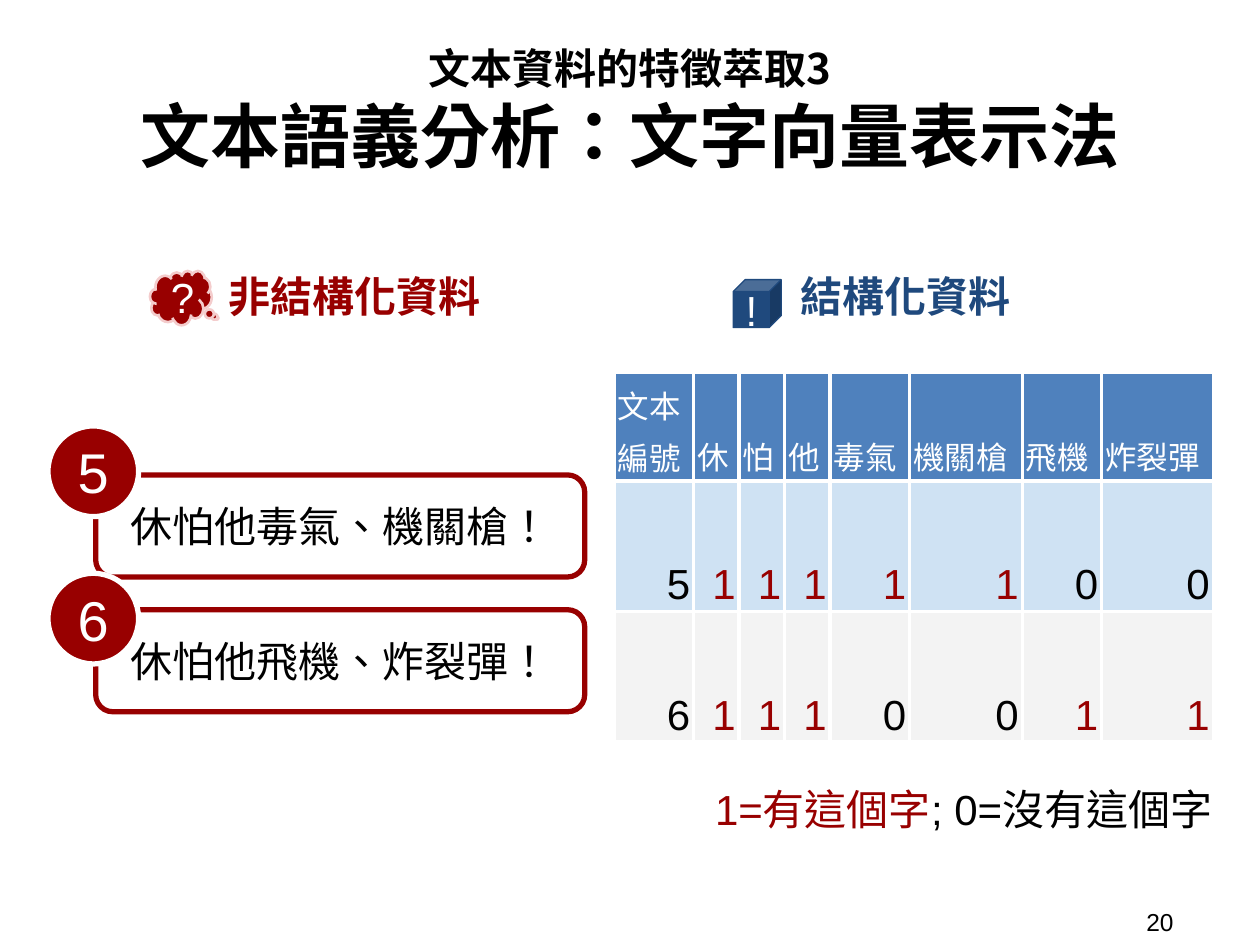
from lxml.etree import SubElement
from pptx import Presentation
from pptx.dml.color import RGBColor
from pptx.enum.shapes import MSO_SHAPE
from pptx.enum.text import MSO_ANCHOR, PP_ALIGN
from pptx.oxml.ns import qn
from pptx.util import Pt

COLORS = {
    "white": "FFFFFF",
    "black": "000000",
    "red": "980000",
    "pink": "F4CCCC",
    "navy": "1F497D",
    "header": "4F81BD",
    "sky": "CFE2F3",
    "gray": "F3F3F3",
}
LATIN = "Arial"
CJK = "Noto Sans CJK TC"


def rgb(name):
    return RGBColor.from_string(COLORS[name])


class SlideBuilder:
    def __init__(self, slide):
        self.slide = slide

    def style(self, paragraph, size, color, align=PP_ALIGN.LEFT, font=LATIN, bold=False):
        paragraph.alignment = align
        paragraph.font.size = Pt(size)
        paragraph.font.bold = bold
        paragraph.font.color.rgb = rgb(color)
        paragraph.font.name = font
        defaults = paragraph._p.pPr.find(qn("a:defRPr"))
        SubElement(defaults, qn("a:ea"), typeface=CJK)
        for run in paragraph.runs:
            run._r.get_or_add_rPr().set("lang", "zh-TW")

    def frame(self, frame, anchor):
        frame.word_wrap = True
        frame.vertical_anchor = anchor
        frame.margin_left = frame.margin_right = Pt(7.2)
        frame.margin_top = frame.margin_bottom = Pt(7.2)

    def text(self, box, lines, color, align=PP_ALIGN.LEFT, font=LATIN, bold=False,
             anchor=MSO_ANCHOR.TOP):
        frame = self.slide.shapes.add_textbox(*map(Pt, box)).text_frame
        self.frame(frame, anchor)
        for index, (line, size) in enumerate(lines):
            paragraph = frame.add_paragraph() if index else frame.paragraphs[0]
            paragraph.text = line
            self.style(paragraph, size, color, align, font, bold)
        return frame

    def shape(self, kind, box, label, size, fill, line, width, color,
              align=PP_ALIGN.CENTER, adjustments=()):
        shape = self.slide.shapes.add_shape(kind, *map(Pt, box))
        shape.shadow.inherit = False
        for index, value in enumerate(adjustments):
            shape.adjustments[index] = value
        shape.fill.solid()
        shape.fill.fore_color.rgb = rgb(fill)
        shape.line.color.rgb = rgb(line)
        shape.line.width = Pt(width)
        self.frame(shape.text_frame, MSO_ANCHOR.MIDDLE)
        paragraph = shape.text_frame.paragraphs[0]
        paragraph.text = label
        self.style(paragraph, size, color, align)

    def cell(self, cell, value, size, color, fill, align):
        cell.vertical_anchor = MSO_ANCHOR.BOTTOM
        cell.margin_left = cell.margin_right = Pt(2)
        cell.margin_top = cell.margin_bottom = Pt(1.5)
        properties = cell._tc.get_or_add_tcPr()
        for side in ("a:lnL", "a:lnR", "a:lnT", "a:lnB"):
            border = SubElement(properties, qn(side), w=str(Pt(2.25)))
            SubElement(SubElement(border, qn("a:solidFill")), qn("a:srgbClr"),
                       val=COLORS["white"])
        cell.fill.solid()
        cell.fill.fore_color.rgb = rgb(fill)
        cell.text = value
        for paragraph in cell.text_frame.paragraphs:
            paragraph.line_spacing = 1.15
            self.style(paragraph, size, color, align)

    def table(self, left, top, widths, heights, header, rows, fills):
        table = self.slide.shapes.add_table(
            len(heights), len(widths), Pt(left), Pt(top),
            Pt(sum(widths)), Pt(sum(heights))).table
        table.first_row = table.horz_banding = False
        for column, width in zip(table.columns, widths):
            column.width = Pt(width)
        for row, height in zip(table.rows, heights):
            row.height = Pt(height)
        for column, word in enumerate(header):
            self.cell(table.cell(0, column), word, 18, "white", "header", PP_ALIGN.LEFT)
        for row, (values, fill) in enumerate(zip(rows, fills), 1):
            for column, value in enumerate(values):
                color = "red" if column and value == "1" else "black"
                self.cell(table.cell(row, column), value, 24, color, fill, PP_ALIGN.RIGHT)


def main():
    presentation = Presentation()
    presentation.slide_width = Pt(720)
    presentation.slide_height = Pt(540)
    builder = SlideBuilder(presentation.slides.add_slide(presentation.slide_layouts[6]))

    builder.text((648, 516, 66, 21), [("20", 14)], "black", anchor=MSO_ANCHOR.MIDDLE)
    builder.text((37.5, 13.7, 645, 98),
                 [("文本資料的特徵萃取3", 24), ("文本語義分析：文字向量表示法", 40)],
                 "black", PP_ALIGN.CENTER, CJK, True, MSO_ANCHOR.MIDDLE)
    for left, heading, color in ((49.7, "非結構化資料", "red"), (365, "結構化資料", "navy")):
        builder.text((left, 147.6, 305.3, 46), [(heading, 24)], color,
                     PP_ALIGN.CENTER, CJK, True)

    builder.shape(MSO_SHAPE.CLOUD_CALLOUT, (85.7, 154.8, 35.3, 31), "?", 24,
                  "red", "pink", 1.5, "white", PP_ALIGN.LEFT, (0.584, 0.37))
    builder.shape(MSO_SHAPE.CUBE, (419, 159.8, 27.4, 27.4), "!", 24,
                  "navy", "navy", 0.75, "white", PP_ALIGN.LEFT, (0.25,))

    sentences = ("休怕他毒氣、機關槍！", "休怕他飛機、炸裂彈！")
    for index, sentence in enumerate(sentences):
        builder.shape(MSO_SHAPE.ROUNDED_RECTANGLE, (54.7, 271.4 + 77 * index, 279.4, 58.3),
                      sentence, 24, "white", "red", 3, "black", adjustments=(0.167,))
    for index, number in enumerate("56"):
        builder.shape(MSO_SHAPE.OVAL, (27.4, 243.4 + 84.2 * index, 51.8, 51.8),
                      number, 32, "red", "white", 3, "white")

    header = ("文本\n編號", "休", "怕", "他", "毒氣", "機關槍", "飛機", "炸裂彈")
    builder.table(351, 212.8, (45.4, 26, 26, 26, 45.4, 64.4, 45.4, 63.8), (62, 74.6, 74.6),
                  header, ("51111100", "61110011"), ("sky", "gray"))

    legend = builder.text((370.8, 440.6, 329, 46), [("1=有這個字", 24)], "black",
                          PP_ALIGN.RIGHT).paragraphs[0]
    legend.runs[0].font.color.rgb = rgb("red")
    legend.add_run().text = "; 0=沒有這個字"

    presentation.save("out.pptx")


if __name__ == "__main__":
    main()
